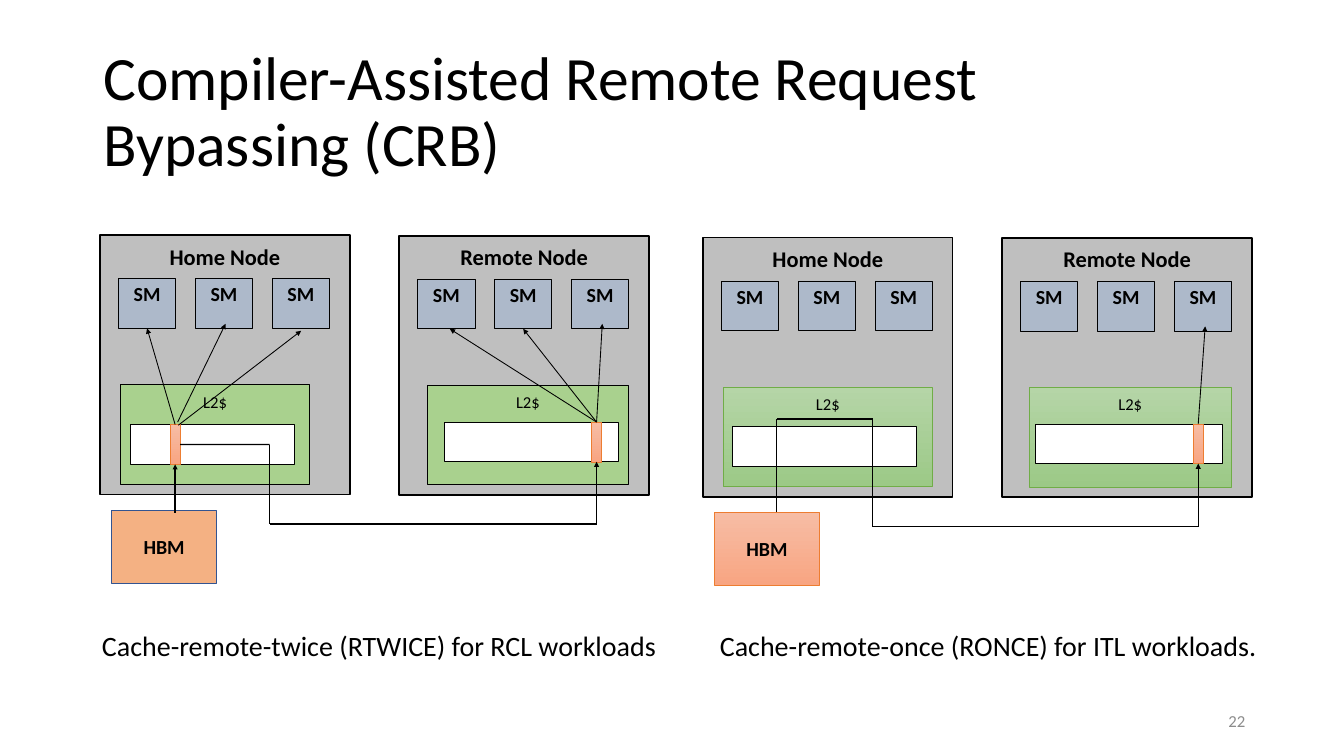
from dataclasses import dataclass
from lxml import etree
from pptx import Presentation
from pptx.dml.color import RGBColor
from pptx.enum.shapes import MSO_CONNECTOR, MSO_SHAPE
from pptx.enum.text import MSO_ANCHOR, PP_ALIGN
from pptx.oxml.ns import qn
from pptx.slide import Slide
from pptx.util import Inches, Pt

RECTANGLE = MSO_SHAPE.RECTANGLE
STRAIGHT = MSO_CONNECTOR.STRAIGHT
TOP, MIDDLE = MSO_ANCHOR.TOP, MSO_ANCHOR.MIDDLE
LEFT, CENTER, RIGHT = PP_ALIGN.LEFT, PP_ALIGN.CENTER, PP_ALIGN.RIGHT
SITE_TOP, SITE_BOTTOM, SITE_RIGHT = 0, 2, 3
COLUMNS, ROWS = 64, 36
BLANK_LAYOUT = 6
GREEN_GRADIENT = ("B5D5A7", "9CC987")
ORANGE_GRADIENT = ("F7BDA5", "F8A582")


def cells(count):
    """Return the length of a number of grid cells, three to the inch."""
    return Inches(count / 3)


def color(value):
    """Return the colour of a hex string."""
    return RGBColor.from_string(value)


@dataclass
class DiagramBuilder:
    """Draws styled elements on the current slide, measured in grid cells."""

    slide: Slide
    font: str = "Calibri"
    ink: str = "000000"

    def set_text(self, shape, text, size, bold=False, align=CENTER, anchor=TOP,
                 ink=None, spacing=None, insets=(0.3, 0.15)):
        """Set and format the text of a shape."""
        frame = shape.text_frame
        frame.text = text
        frame.word_wrap = True
        frame.vertical_anchor = anchor
        frame.margin_left = frame.margin_right = cells(insets[0])
        frame.margin_top = frame.margin_bottom = cells(insets[1])
        for paragraph in frame.paragraphs:
            paragraph.alignment = align
            paragraph.line_spacing = spacing
            for run in paragraph.runs:
                run.font.name = self.font
                run.font.size = Pt(size)
                run.font.bold = bold
                run.font.color.rgb = color(ink or self.ink)

    def label(self, box, text, size, **style):
        """Add a free text box."""
        shape = self.slide.shapes.add_textbox(*map(cells, box))
        self.set_text(shape, text, size, **style)

    def block(self, box, fill, line="000000", width=1):
        """Add a rectangle with a plain fill or a vertical gradient."""
        shape = self.slide.shapes.add_shape(RECTANGLE, *map(cells, box))
        shape.shadow.inherit = False
        if isinstance(fill, str):
            shape.fill.solid()
            shape.fill.fore_color.rgb = color(fill)
        else:
            shape.fill.gradient()
            shape.fill.gradient_angle = 270
            for stop, value in zip(shape.fill.gradient_stops, fill):
                stop.color.rgb = color(value)
        shape.line.color.rgb = color(line)
        shape.line.width = Pt(width)
        return shape

    def node(self, name, left, top, cache_box, array_box, cache_style):
        """Add a node with three SMs and a cache, and return the SMs."""
        frame = self.block((left, top, 11.88, 12.35), "BFBFBF", width=2.25)
        self.set_text(frame, name, 25.6, bold=True, insets=(0.75, 0.36))
        offset, width = cache_box
        cache = self.block((left + offset, top + 7.12, width, 4.74), *cache_style)
        self.set_text(cache, "L2$", 19, insets=(0.69, 0.33))
        processors = []
        for index in range(3):
            processor = self.block(
                (left + 0.87 + 3.66 * index, top + 2.07, 2.73, 2.37), "ADB9CA")
            self.set_text(processor, "SM", 22.8, bold=True)
            processors.append(processor)
        offset, drop, width = array_box
        self.block((left + offset, top + drop, width, 1.89), "FFFFFF")
        return processors

    def cache_line(self, left, top):
        """Add a highlighted cache line."""
        return self.block((left, top, 0.48, 1.89), ORANGE_GRADIENT, "ED7D31", 0.5)

    def memory(self, left, top, fill, line, width):
        """Add an HBM block."""
        shape = self.block((left, top, 5.01, 3.48), fill, line, width)
        self.set_text(shape, "HBM", 22.8, bold=True, anchor=MIDDLE, insets=(0.69, 0.33))

    def route(self, points, width=1.5, start=None, end=None):
        """Join points with straight connectors, the last one with an arrowhead."""
        segments = []
        for begin, finish in zip(points, points[1:]):
            connector = self.slide.shapes.add_connector(
                STRAIGHT, *map(cells, begin + finish))
            connector.line.color.rgb = color(self.ink)
            connector.line.width = Pt(width)
            segments.append(connector)
        if start:
            segments[0].begin_connect(*start)
        if end:
            segments[-1].end_connect(*end)
        outline = segments[-1].line._get_or_add_ln()
        etree.SubElement(outline, qn("a:tailEnd"), type="triangle")
        for connector in segments:
            etree.SubElement(connector._element.spPr, qn("a:effectLst"))


def draw_twice(builder):
    """Draw the scheme that caches in both nodes."""
    style = ("A9D18E",)
    home = builder.node("Home Node", 4.77, 11.2, (0.96, 9.03), (1.44, 9.02, 7.83), style)
    remote = builder.node("Remote Node", 19.02, 11.22, (1.32, 9.6), (2.13, 8.88, 8.31), style)
    home_line = builder.cache_line(8.1, 20.22)
    remote_line = builder.cache_line(28.17, 20.1)
    builder.memory(5.31, 24.3, "F4B183", "325491", 1)
    home_top, remote_top = (home_line, SITE_TOP), (remote_line, SITE_TOP)
    fans = [
        ((8.34, 20.22), (7.0, 15.63), home_top, (home[0], SITE_BOTTOM)),
        ((8.46, 20.1), (10.74, 15.42), None, None),
        ((8.49, 20.25), (14.34, 15.75), None, None),
        ((28.41, 20.1), (21.42, 15.66), remote_top, None),
        ((28.41, 20.1), (24.92, 15.66), remote_top, (remote[1], SITE_BOTTOM)),
        ((28.41, 20.1), (28.68, 15.42), remote_top, None),
    ]
    for begin, finish, start, end in fans:
        builder.route([begin, finish], 1, start, end)
    builder.route([(8.34, 24.42), (8.34, 22.11)], end=(home_line, SITE_BOTTOM))
    builder.route(
        [(8.58, 21.17), (12.84, 21.17), (12.84, 24.96), (28.41, 24.96), (28.41, 21.99)],
        start=(home_line, SITE_RIGHT), end=(remote_line, SITE_BOTTOM))


def draw_once(builder):
    """Draw the scheme that bypasses the home cache."""
    style = (GREEN_GRADIENT, "70AD47", 0.5)
    builder.node("Home Node", 33.48, 11.31, (0.96, 9.96), (1.38, 9, 8.79), style)
    builder.node("Remote Node", 47.73, 11.32, (1.26, 9.66), (1.59, 8.88, 8.88), style)
    remote_line = builder.cache_line(56.82, 20.19)
    builder.memory(34.02, 24.39, ORANGE_GRADIENT, "ED7D31", 0.5)
    builder.route([(57.06, 20.19), (57.39, 15.54)], 1, start=(remote_line, SITE_TOP))
    builder.route(
        [(36.99, 24.39), (36.99, 19.95), (41.55, 19.95), (41.55, 25.08),
         (57.06, 25.08), (57.06, 22.08)],
        end=(remote_line, SITE_BOTTOM))


def main():
    """Build and save the presentation."""
    presentation = Presentation()
    presentation.slide_width = cells(COLUMNS)
    presentation.slide_height = cells(ROWS)
    layout = presentation.slide_layouts[BLANK_LAYOUT]
    builder = DiagramBuilder(presentation.slides.add_slide(layout))
    builder.label((4.62, 1.92, 55, 6.96),
                  "Compiler-Assisted Remote Request\vBypassing (CRB)",
                  70.4, align=LEFT, anchor=MIDDLE, spacing=0.9)
    draw_twice(builder)
    draw_once(builder)
    builder.label((3.6, 29.8, 28.92, 1.92),
                  "Cache-remote-twice (RTWICE) for RCL workloads", 32)
    builder.label((33.18, 29.8, 27.78, 1.92),
                  "Cache-remote-once (RONCE) for ITL workloads.", 32)
    builder.label((45.21, 33.36, 14.4, 1.92), "22", 19.2,
                  align=RIGHT, anchor=MIDDLE, ink="8C8C8C")
    presentation.save("out.pptx")


if __name__ == "__main__":
    main()
